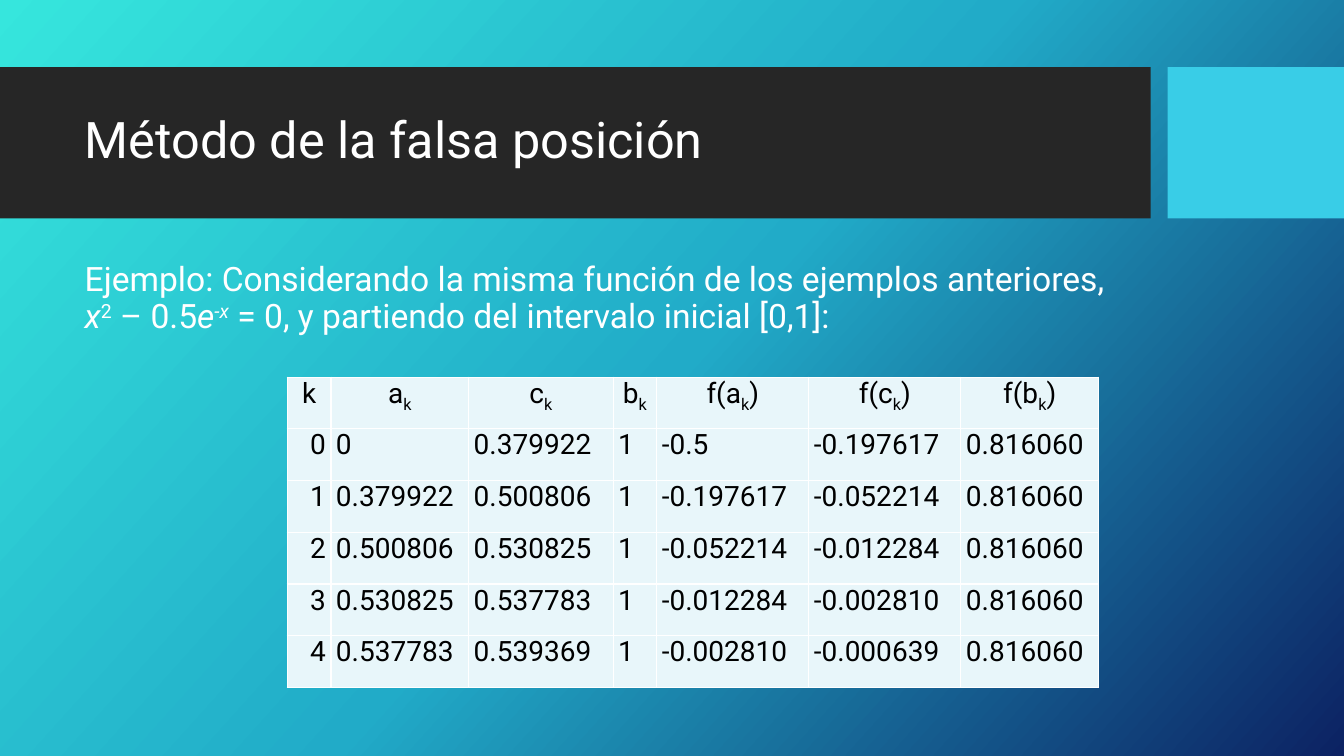
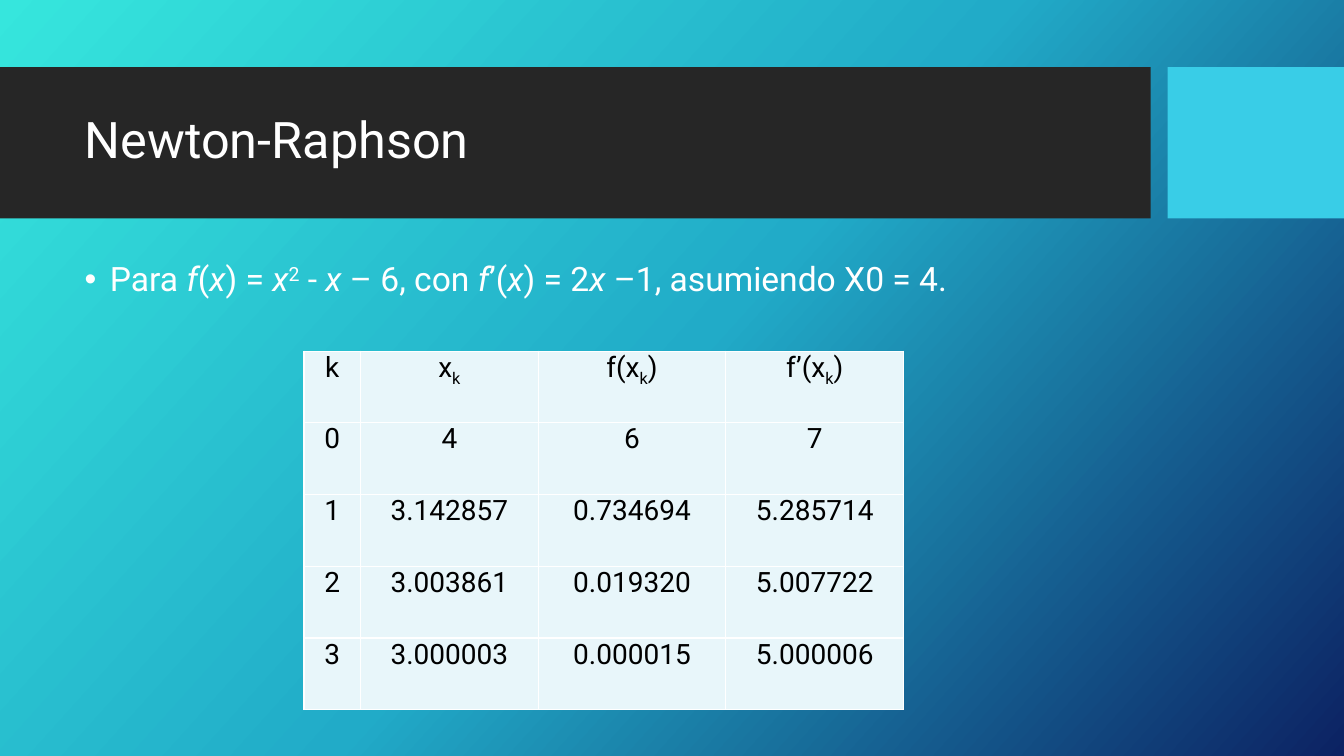
from dataclasses import dataclass

from lxml.etree import SubElement
from pptx import Presentation
from pptx.dml.color import RGBColor
from pptx.enum.shapes import MSO_SHAPE as Shape
from pptx.enum.text import MSO_ANCHOR as Anchor, PP_ALIGN as Align
from pptx.oxml import parse_xml
from pptx.oxml.ns import nsdecls, qn
from pptx.util import Inches, Pt


@dataclass(frozen=True)
class Theme:
    font: str = "Roboto"
    title_size: int = 36
    body_size: int = 24
    table_size: int = 20
    light: str = "FFFFFF"
    dark: str = "000000"
    band: str = "262626"
    accent: str = "39CDE7"
    cell: str = "E8F6FA"
    gradient: tuple = ((0, "36E6DD"), (50, "21ABC8"), (100, "0C2263"))
    gradient_angle: int = 42
    border_width: int = 1


# The slide is a grid of 80 columns by 45 rows of square units.
COLUMNS, ROWS = 80, 45
WIDTH, HEIGHT = Inches(13.333), Inches(7.5)
TEXT_LEFT, TEXT_WIDTH = 4.45, 63.05

MARKS = {"*": "italic", "^": "raised", "_": "lowered"}


def split_marks(text):
    """Yield (piece, active styles); *, ^ and _ switch a style on and off."""
    piece, active = "", set()
    for char in text:
        if char in MARKS:
            if piece:
                yield piece, frozenset(active)
            piece = ""
            active ^= {MARKS[char]}
        else:
            piece += char
    if piece:
        yield piece, frozenset(active)


def write(para, text, *, font, size, color, align=Align.LEFT,
          line_spacing=None, space_before=None):
    para.alignment = align
    if line_spacing:
        para.line_spacing = line_spacing
    if space_before:
        para.space_before = Pt(space_before)
    for piece, styles in split_marks(text):
        span = para.add_run()
        span.text = piece
        span.font.name = font
        span.font.size = Pt(size)
        span.font.italic = "italic" in styles
        span.font.color.rgb = RGBColor.from_string(color)
        if "raised" in styles:
            span.font._element.set("baseline", "30000")
        elif "lowered" in styles:
            span.font._element.set("baseline", "-25000")


def add_bullet(para, indent):
    props = para._p.get_or_add_pPr()
    props.set("marL", str(indent))
    props.set("indent", str(-indent))
    SubElement(props, qn("a:buFont")).set("typeface", "Arial")
    SubElement(props, qn("a:buChar")).set("char", "•")


def add_borders(cell, color, width):
    props = cell._tc.get_or_add_tcPr()
    for position, side in enumerate(("lnL", "lnR", "lnT", "lnB")):
        props.insert(position, parse_xml(
            f'<a:{side} {nsdecls("a")} w="{Pt(width)}"><a:solidFill>'
            f'<a:srgbClr val="{color}"/></a:solidFill></a:{side}>'))


class SlideBuilder:
    def __init__(self, theme):
        self.theme = theme
        self.deck = Presentation()
        self.deck.slide_width, self.deck.slide_height = WIDTH, HEIGHT
        self.page = None

    def columns(self, count):
        return round(WIDTH * count / COLUMNS)

    def rows(self, count):
        return round(HEIGHT * count / ROWS)

    def place(self, left, top, width, height):
        return (self.columns(left), self.rows(top),
                self.columns(width), self.rows(height))

    def start(self, title):
        """Add a slide with its background, bands and title."""
        self.page = self.deck.slides.add_slide(self.deck.slide_layouts[6])
        self.background()
        self.band(0, 68.5, self.theme.band)
        self.band(69.5, 10.5, self.theme.accent)
        self.text(title, 4.9, 7.1, self.theme.title_size, anchor=Anchor.MIDDLE)

    def background(self):
        stops = "".join(
            f'<a:gs pos="{share * 1000}"><a:srgbClr val="{color}"/></a:gs>'
            for share, color in self.theme.gradient)
        self.page.element.find(qn("p:cSld")).insert(0, parse_xml(
            f'<p:bg {nsdecls("p", "a")}><p:bgPr><a:gradFill>'
            f'<a:gsLst>{stops}</a:gsLst>'
            f'<a:lin ang="{self.theme.gradient_angle * 60000}" scaled="0"/>'
            '</a:gradFill><a:effectLst/></p:bgPr></p:bg>'))

    def band(self, left, width, color):
        box = self.page.shapes.add_shape(
            Shape.RECTANGLE, *self.place(left, 4, width, 9))
        box.shadow.inherit = False
        box.fill.solid()
        box.fill.fore_color.rgb = RGBColor.from_string(color)
        box.line.fill.background()

    def text(self, text, top, height, size, anchor=Anchor.TOP,
             space_before=None, bullet=False):
        box = self.page.shapes.add_textbox(
            *self.place(TEXT_LEFT, top, TEXT_WIDTH, height))
        frame = box.text_frame
        frame.word_wrap = True
        frame.vertical_anchor = anchor
        para = frame.paragraphs[0]
        write(para, text, font=self.theme.font, size=size,
              color=self.theme.light, line_spacing=0.9,
              space_before=space_before)
        if bullet:
            add_bullet(para, Inches(0.25))

    def body(self, text, bullet=False):
        self.text(text, 15.35, 23.65, self.theme.body_size,
                  space_before=10, bullet=bullet)

    def table(self, left, top, widths, row_height, records, aligns):
        """Add a table with a centred first row; aligns holds one per column."""
        area = self.place(left, top, sum(widths), row_height * len(records))
        table = self.page.shapes.add_table(
            len(records), len(widths), *area).table
        table.first_row = table.horz_banding = False
        for column, width in zip(table.columns, widths):
            column.width = self.columns(width)
        for index, (row, record) in enumerate(zip(table.rows, records)):
            row.height = self.rows(row_height)
            for cell, value, align in zip(row.cells, record, aligns):
                self.cell(cell, value, align if index else Align.CENTER)

    def cell(self, cell, value, align):
        cell.margin_left = cell.margin_right = Inches(0.05)
        cell.margin_top = cell.margin_bottom = 0
        cell.fill.solid()
        cell.fill.fore_color.rgb = RGBColor.from_string(self.theme.cell)
        add_borders(cell, self.theme.light, self.theme.border_width)
        write(cell.text_frame.paragraphs[0], value, font=self.theme.font,
              size=self.theme.table_size, color=self.theme.dark, align=align)


FALSE_POSITION = [
    ("k", "a_k_", "c_k_", "b_k_", "f(a_k_)", "f(c_k_)", "f(b_k_)"),
    ("0", "0", "0.379922", "1", "-0.5", "-0.197617", "0.816060"),
    ("1", "0.379922", "0.500806", "1", "-0.197617", "-0.052214", "0.816060"),
    ("2", "0.500806", "0.530825", "1", "-0.052214", "-0.012284", "0.816060"),
    ("3", "0.530825", "0.537783", "1", "-0.012284", "-0.002810", "0.816060"),
    ("4", "0.537783", "0.539369", "1", "-0.002810", "-0.000639", "0.816060"),
]

NEWTON_RAPHSON = [
    ("k", "x_k_", "f(x_k_)", "f’(x_k_)"),
    ("0", "4", "6", "7"),
    ("1", "3.142857", "0.734694", "5.285714"),
    ("2", "3.003861", "0.019320", "5.007722"),
    ("3", "3.000003", "0.000015", "5.000006"),
]


def main():
    slides = SlideBuilder(Theme())

    slides.start("Método de la falsa posición")
    slides.body("Ejemplo: Considerando la misma función de los ejemplos "
                "anteriores, *x*^2^ – 0.5*e^-x^* = 0, y partiendo del "
                "intervalo inicial [0,1]:")
    slides.table(17.1, 22.45, (2.6, 8.2, 8.6, 2.6, 9.05, 9.05, 8.2), 3.08,
                 FALSE_POSITION, [Align.RIGHT] + [Align.LEFT] * 6)

    slides.start("Newton-Raphson")
    slides.body("Para *f*(*x*) = *x*^2^ - *x* – 6, con *f*’(*x*) = 2*x* –1, "
                "asumiendo X0 = 4.", bullet=True)
    slides.table(18.1, 20.9, (3.35, 10.6, 11.15, 10.6), 4.27,
                 NEWTON_RAPHSON, [Align.CENTER] * 4)

    slides.deck.save("out.pptx")


if __name__ == "__main__":
    main()
